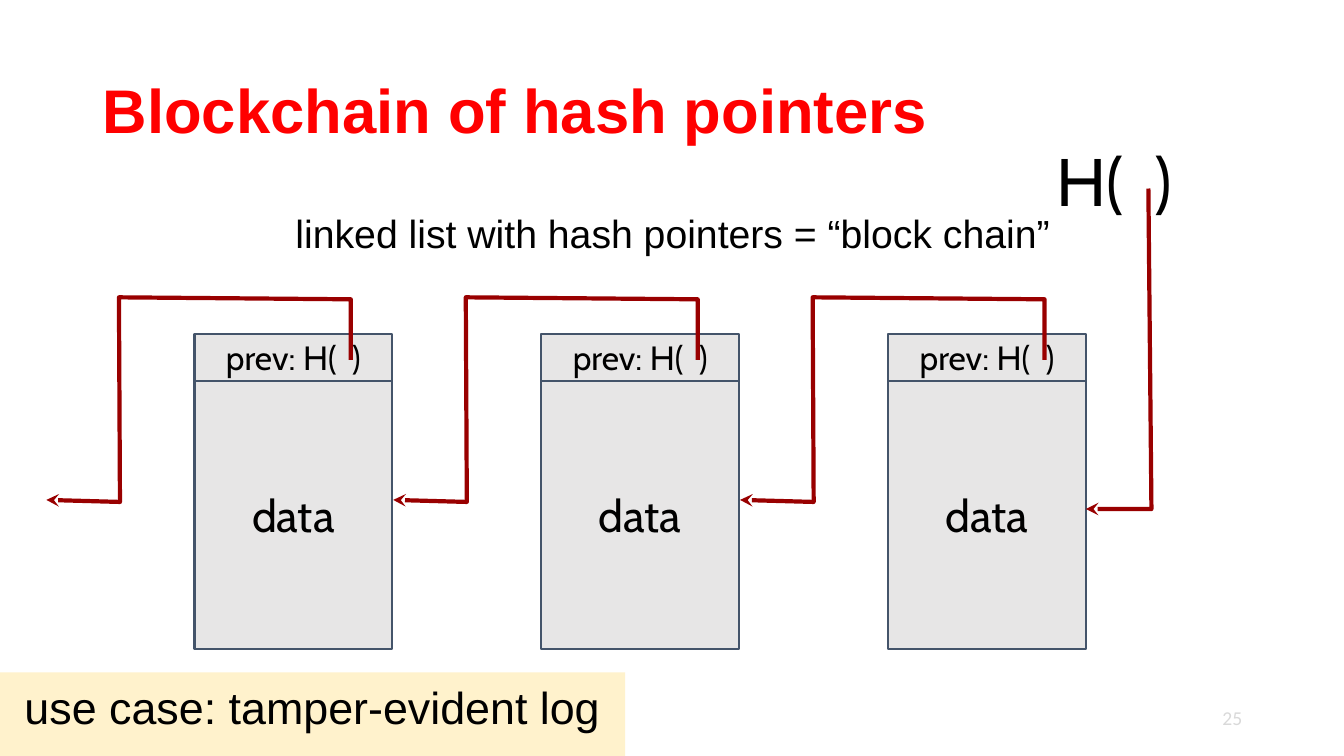
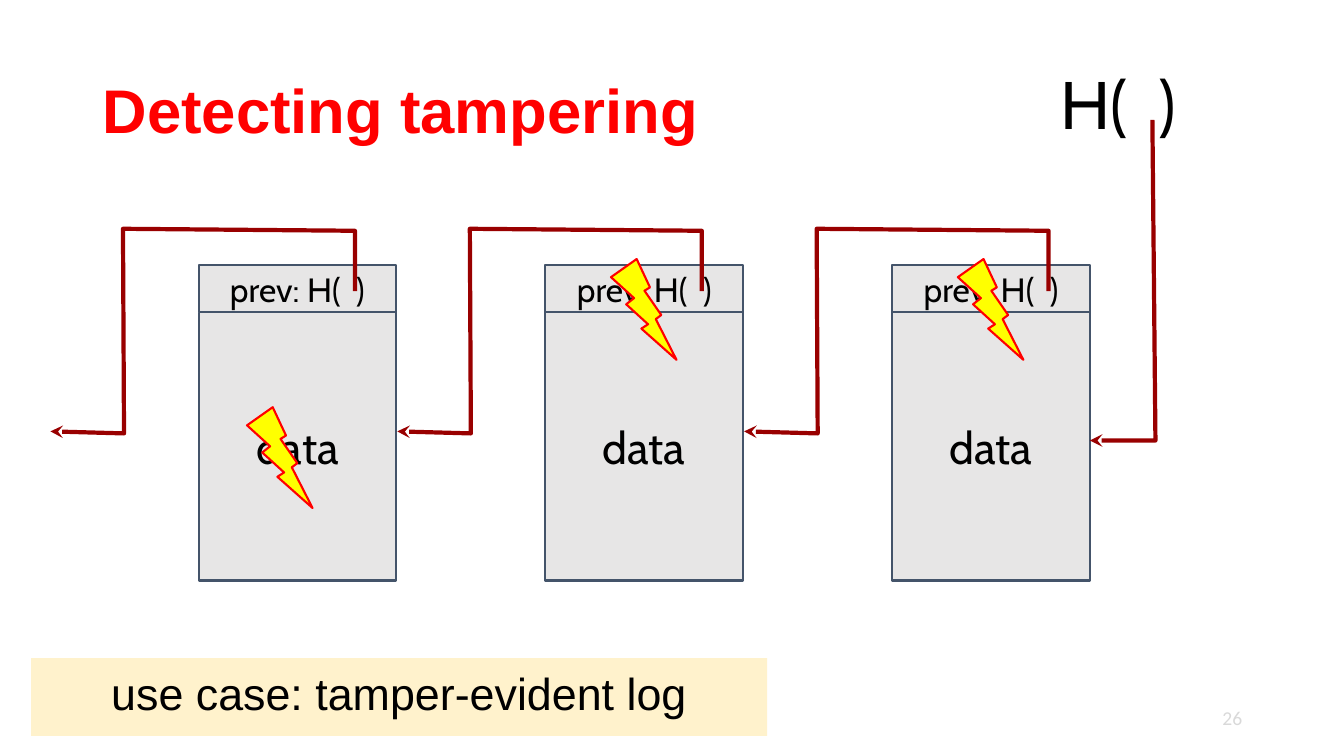
from lxml import etree
from pptx import Presentation
from pptx import util as u
from pptx.dml.color import RGBColor
from pptx.enum import shapes, text
from pptx.oxml.ns import qn

Inches, Pt = u.Inches, u.Pt

RED = RGBColor(0xFF, 0x00, 0x00)
BLACK = RGBColor(0x00, 0x00, 0x00)
CREAM = RGBColor(0xFF, 0xF2, 0xCC)
GRAY = RGBColor(0xE7, 0xE6, 0xE6)
SLATE = RGBColor(0x44, 0x54, 0x6A)
DARK_RED = RGBColor(0x99, 0x00, 0x00)
YELLOW = RGBColor(0xFF, 0xFF, 0x00)
PALE = RGBColor(0xD9, 0xD9, 0xD9)

LEFT, CENTER, RIGHT = text.PP_ALIGN.LEFT, text.PP_ALIGN.CENTER, text.PP_ALIGN.RIGHT
TOP, MIDDLE = text.MSO_ANCHOR.TOP, text.MSO_ANCHOR.MIDDLE

# Chain geometry, in inches; pointers are relative to a block's top left corner
BLOCKS = 3
PITCH = 3.44
BLOCK_W, PREV_H, DATA_H = 1.96, 0.47, 2.66
PREV_POINTER = [(1.55, 0.26), (1.55, -0.34), (-0.75, -0.36), (-0.74, 1.67), (-1.47, 1.65)]
HEAD_POINTER = [(2.58, -1.44), (2.61, 1.74), (BLOCK_W, 1.74)]


class Deck:
    STYLES = {
        "title": dict(name="Arial", size=Pt(44), bold=True, color=RED),
        "body": dict(name="Arial", size=Pt(28), color=BLACK),
        "banner": dict(name="Arial", size=Pt(32), color=BLACK),
        "data": dict(name="Cabin", size=Pt(32), color=BLACK),
        "prev": dict(name="Cabin", size=Pt(24), color=BLACK),
        "head": dict(name="Cabin", size=Pt(48), color=BLACK),
        "number": dict(name="Calibri", size=Pt(14), color=PALE),
    }

    def __init__(self):
        self.prs = Presentation()
        self.prs.slide_width, self.prs.slide_height = Inches(13.33), Inches(7.5)
        self.s = None

    def slide(self, title, number):
        self.s = self.prs.slides.add_slide(self.prs.slide_layouts[6])
        self.textbox((0.92, 0.4, 11.5, 1.45), title, "title", anchor=MIDDLE, spacing=0.9, inset=None)
        self.textbox((9.42, 6.95, 3, 0.4), number, "number", align=RIGHT, inset=None)

    def put_text(self, sp, words, style, align=LEFT, anchor=TOP, spacing=None, inset=0.13):
        tf = sp.text_frame
        frame = dict(word_wrap=True, vertical_anchor=anchor)
        if inset is not None:
            for side in ("left", "top", "right", "bottom"):
                frame["margin_" + side] = Inches(inset)
        for key, value in frame.items():
            setattr(tf, key, value)
        p = tf.paragraphs[0]
        p.alignment, p.line_spacing = align, spacing
        r = p.add_run()
        r.text = words
        for key, value in self.STYLES[style].items():
            if key == "color":
                r.font.color.rgb = value
            else:
                setattr(r.font, key, value)

    def textbox(self, box, words, style, **layout):
        sp = self.s.shapes.add_textbox(*map(Inches, box))
        self.put_text(sp, words, style, **layout)

    def shape(self, kind, box, fill, line=None):
        sp = self.s.shapes.add_shape(kind, *map(Inches, box))
        sp.shadow.inherit = False
        sp.fill.solid()
        sp.fill.fore_color.rgb = fill
        if line is None:
            sp.line.fill.background()
        else:
            sp.line.color.rgb = line
            sp.line.width = Pt(1.5)
        return sp

    def banner(self, box, words):
        sp = self.shape(shapes.MSO_SHAPE.RECTANGLE, box, CREAM)
        self.put_text(sp, words, "banner", align=CENTER, spacing=0.9)

    def block(self, x, y):
        parts = [(y + PREV_H, DATA_H, "data", "data"), (y, PREV_H, "prev: H(  )", "prev")]
        for top, height, words, style in parts:
            sp = self.shape(shapes.MSO_SHAPE.RECTANGLE, (x, top, BLOCK_W, height), GRAY, SLATE)
            self.put_text(sp, words, style, align=CENTER, anchor=MIDDLE)

    def pointer(self, x, y, offsets):
        points = [(Inches(x + dx), Inches(y + dy)) for dx, dy in offsets]
        builder = self.s.shapes.build_freeform(*points[0])
        builder.add_line_segments(points[1:], close=False)
        sp = builder.convert_to_shape()
        sp.shadow.inherit = False
        sp.fill.background()
        sp.line.color.rgb = DARK_RED
        sp.line.width = Pt(3)
        ln = sp.element.spPr.find(qn("a:ln"))
        etree.SubElement(ln, qn("a:tailEnd"), type="stealth")

    def chain(self, x, y, head_top):
        lefts = [x + i * PITCH for i in range(BLOCKS)]
        for left in lefts:
            self.block(left, y)
        for left in lefts:
            self.pointer(left, y, PREV_POINTER)
        self.textbox((lefts[-1] + 1.54, head_top, 2.06, 0.67), "H(  )", "head")
        self.pointer(lefts[-1], y, HEAD_POINTER)

    def bolt(self, x, y):
        self.shape(shapes.MSO_SHAPE.LIGHTNING_BOLT, (x, y, 0.65, 1), YELLOW, RED)


def main():
    deck = Deck()
    use_case = "use case: tamper-evident log"

    # Hash pointers
    deck.slide("Blockchain of hash pointers", "25")
    deck.textbox((0.92, 2, 11.5, 4.76), "linked list with hash pointers = “block chain”",
                 "body", align=CENTER, spacing=0.9)
    deck.banner((0, 6.67, 6.2, 0.83), use_case)
    deck.chain(1.93, 3.31, head_top=1.25)

    # Tampering
    deck.slide("Detecting tampering", "26")
    deck.chain(1.97, 2.63, head_top=0.49)
    deck.banner((0.31, 6.53, 7.3, 0.77), use_case)
    for x, y in [(2.45, 4.04), (6.06, 2.57), (9.5, 2.57)]:
        deck.bolt(x, y)

    deck.prs.save("out.pptx")


if __name__ == "__main__":
    main()
